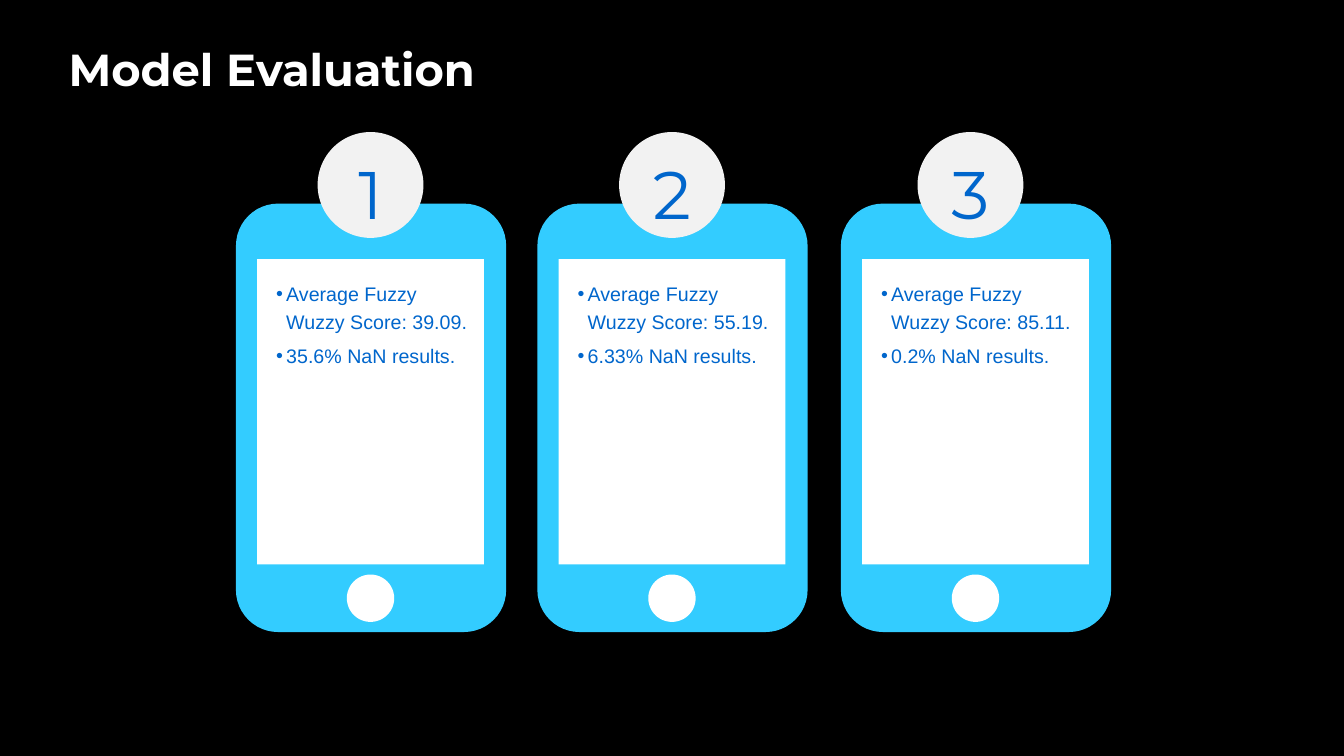
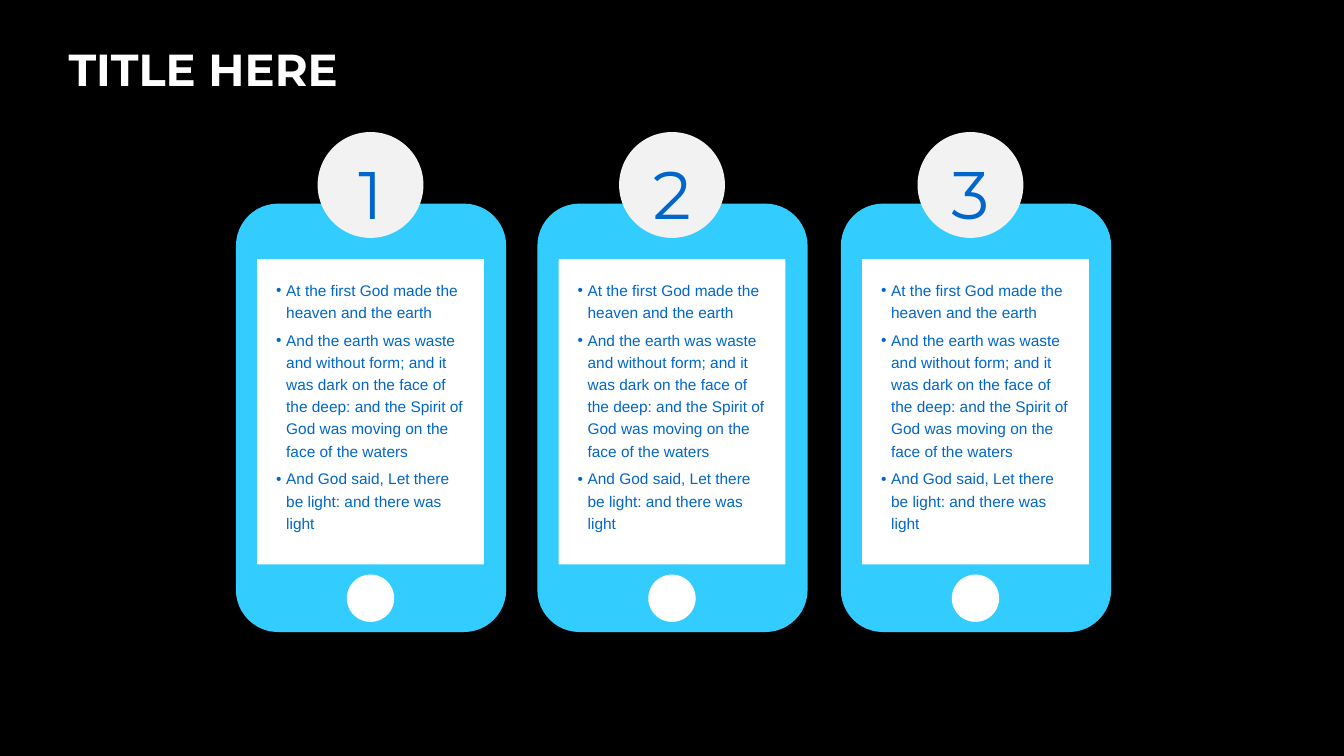
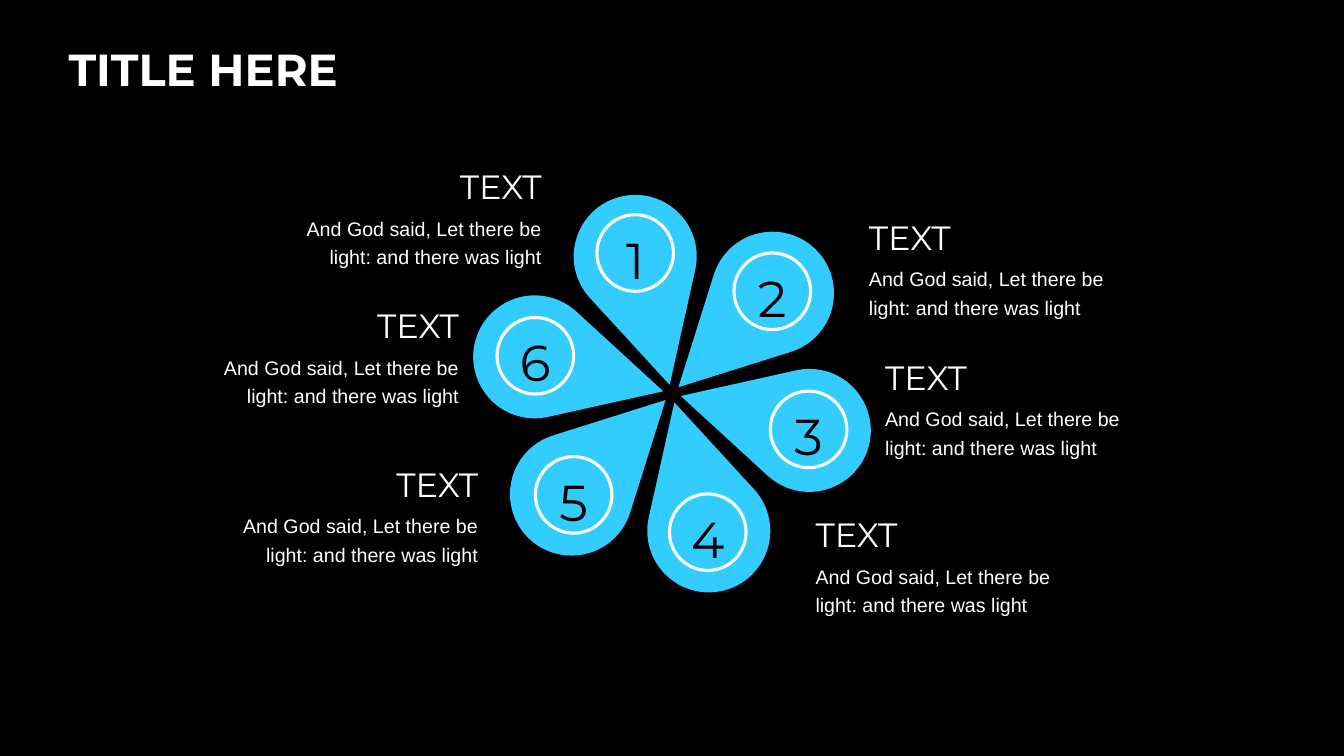
from math import acos, cos, degrees, pi, radians, sin, tan

from pptx import Presentation, util as u
from pptx.dml.color import RGBColor
from pptx.enum import shapes, text
from pptx.oxml.ns import qn

SLIDE_W, SLIDE_H = 13.33, 7.5
COLORS = {
    "back": "000000", "white": "FFFFFF", "badge": "F2F2F2",
    "cyan": "33CCFF", "blue": "0066CC",
}
HEAD_FONT, BODY_FONT = "Montserrat", "Arial"
TITLE_BOX = (0.58, 0.29, 12.18, 0.79)
LEFT, CENTER, RIGHT = text.PP_ALIGN.LEFT, text.PP_ALIGN.CENTER, text.PP_ALIGN.RIGHT
SHAPE = shapes.MSO_SHAPE

PHONE_LEFTS, PHONE_TOP, PHONE_W, PHONE_H = (2.34, 5.33, 8.34), 2.02, 2.68, 4.25
BADGE_LEFTS, BADGE_TOP, BADGE_SIZE = (3.15, 6.14, 9.1), 1.31, 1.05

HUB = (6.665, 3.905)
TIP_REACH, HEAD_REACH, HEAD_RADIUS = 0.09, 1.41, 0.61
RING_SIZE = 0.76
CAPTION_W, CAPTION_H = 2.55, 1.21

VERSES = [
    "At the first God made the heaven and the earth",
    "And the earth was waste and without form; and it was dark on the face of "
    "the deep: and the Spirit of God was moving on the face of the waters",
    "And God said, Let there be light: and there was light",
]
SCORES = [("39.09", "35.6%"), ("55.19", "6.33%"), ("85.11", "0.2%")]
PETALS = [  # ring left and top, caption left and top, caption alignment
    ((5.92, 2.13), (2.92, 1.52), RIGHT),
    ((7.28, 2.51), (8.52, 2.02), LEFT),
    ((7.64, 3.88), (8.68, 3.41), LEFT),
    ((6.64, 4.9), (7.99, 4.97), LEFT),
    ((5.31, 4.53), (2.29, 4.47), RIGHT),
    ((4.93, 3.15), (2.1, 2.9), RIGHT),
]


def color(name):
    return RGBColor.from_string(COLORS[name])


def inches(*lengths):
    return [u.Inches(length) for length in lengths]


def style_span(span, size, font, ink, bold=False):
    span.font.size, span.font.name, span.font.bold = u.Pt(size), font, bold
    span.font.color.rgb = color(ink)


def write(para, words, size, font, ink, align=LEFT, bullet=False):
    """Fill a paragraph with one run in the deck's common spacing."""
    para.alignment, para.line_spacing = align, 1.2
    para.space_before = para.space_after = u.Pt(2)
    span = para.add_run()
    span.text = words
    style_span(span, size, font, ink)
    if bullet:
        props = para._p.get_or_add_pPr()
        props.set("marL", str(u.Inches(0.1)))
        props.set("indent", str(-u.Inches(0.1)))
        props.append(props.makeelement(qn("a:buFont"), {"typeface": BODY_FONT}))
        props.append(props.makeelement(qn("a:buChar"), {"char": "•"}))


def add_text(holder, box, paras):
    """Add a wrapped text box; each paragraph is a dict of write() arguments."""
    frame = holder.add_textbox(*inches(*box)).text_frame
    frame.word_wrap = True
    frame.auto_size = text.MSO_AUTO_SIZE.SHAPE_TO_FIT_TEXT
    for index, options in enumerate(paras):
        write(frame.add_paragraph() if index else frame.paragraphs[0], **options)


def paint(shape, fill=None, line=None):
    shape.shadow.inherit = False
    if fill:
        shape.fill.solid()
        shape.fill.fore_color.rgb = color(fill)
    else:
        shape.fill.background()
    if line:
        shape.line.color.rgb, shape.line.width = color(line), u.Pt(2.25)
    else:
        shape.line.fill.background()
    return shape


def add_box(holder, kind, box, **look):
    return paint(holder.add_shape(kind, *inches(*box)), **look)


def add_number(holder, corner, size, number, points, ink, **look):
    """Add a disc with a centred number."""
    disc = add_box(holder, SHAPE.OVAL, (*corner, size, size), **look)
    disc.text_frame.vertical_anchor = text.MSO_ANCHOR.MIDDLE
    write(disc.text_frame.paragraphs[0], str(number), points, HEAD_FONT, ink, CENTER)


def add_page(deck, title):
    page = deck.slides.add_slide(deck.slide_layouts[5])
    holder = page.shapes.title
    holder.left, holder.top, holder.width, holder.height = inches(*TITLE_BOX)
    frame = holder.text_frame
    frame.text = title
    frame.vertical_anchor = text.MSO_ANCHOR.MIDDLE
    para = frame.paragraphs[0]
    para.alignment = LEFT
    style_span(para.runs[0], 32, HEAD_FONT, "white", bold=True)
    return page


def add_phone(page, left, top, lines, size, text_height):
    def part(x, y, width, height):
        return (left + x, top + y, width, height)

    phone = page.shapes.add_group_shape().shapes
    body = add_box(phone, SHAPE.ROUNDED_RECTANGLE, part(0, 0, PHONE_W, PHONE_H),
                   fill="cyan")
    body.adjustments[0] = 0.156
    add_box(phone, SHAPE.RECTANGLE, part(0.21, 0.55, 2.25, 3.03), fill="white")
    add_box(phone, SHAPE.OVAL, part(1.1, 3.68, 0.47, 0.47), fill="white")
    add_text(phone, part(0.3, 0.68, 2.11, text_height), [
        dict(words=line, size=size, font=BODY_FONT, ink="blue", bullet=True)
        for line in lines])


def add_phone_page(deck, title, columns, size, text_height):
    page = add_page(deck, title)
    for left, lines in zip(PHONE_LEFTS, columns):
        add_phone(page, left, PHONE_TOP, lines, size, text_height)
    for number, left in enumerate(BADGE_LEFTS, 1):
        add_number(page.shapes, (left, BADGE_TOP), BADGE_SIZE, number, 48, "blue",
                   fill="badge")


def polar(center, reach, angle):
    """Point at a clockwise angle in radians from straight up."""
    return center[0] + reach * sin(angle), center[1] - reach * cos(angle)


def arc_curves(center, radius, stops):
    """Control and end points of the Bézier curves between the given angles."""
    points = []
    for start, end in zip(stops, stops[1:]):
        turn = end - start
        pull = 4 / 3 * tan(turn / 4)
        reach = radius * (1 + pull ** 2) ** 0.5
        lean = acos(radius / reach)
        points += [polar(center, reach, start + lean),
                   polar(center, reach, end - lean),
                   polar(center, radius, end)]
    return points


def curve_lines(shape):
    """Turn each three line segments after the first into one curve."""
    lines = list(shape._element.iter(qn("a:lnTo")))[1:]
    for index in range(0, len(lines) - 2, 3):
        curve = lines[index].makeelement(qn("a:cubicBezTo"), {})
        lines[index].addprevious(curve)
        for line in lines[index:index + 3]:
            curve.append(line[0])
            line.getparent().remove(line)


def add_petal(page, angle):
    """Draw a drop hanging from its tip, then turn it to the given angle."""
    span = HEAD_REACH - TIP_REACH
    middle = polar(HUB, (TIP_REACH + HEAD_REACH + HEAD_RADIUS) / 2, angle)
    tip = (middle[0], middle[1] - (span + HEAD_RADIUS) / 2)
    head = (tip[0], tip[1] + span)
    start = acos(HEAD_RADIUS / span)
    stops = [start, pi / 2, pi, 3 * pi / 2, 2 * pi - start]
    points = [polar(head, HEAD_RADIUS, start), *arc_curves(head, HEAD_RADIUS, stops)]
    pen = page.shapes.build_freeform(*inches(*tip), scale=1.0)
    pen.add_line_segments([inches(*point) for point in points], close=True)
    petal = paint(pen.convert_to_shape(), fill="cyan")
    curve_lines(petal)
    petal.rotation = degrees(angle) + 180


def add_flower_page(deck, title):
    page = add_page(deck, title)
    for index in range(len(PETALS)):
        add_petal(page, radians(60 * index - 15))
    for ring, corner, align in PETALS:
        add_text(page.shapes, (*corner, CAPTION_W, CAPTION_H), [
            dict(words="TEXT", size=24, font=HEAD_FONT, ink="white", align=align),
            dict(words=VERSES[-1], size=14, font=BODY_FONT, ink="white", align=align)])
    for number, (ring, corner, align) in enumerate(PETALS, 1):
        add_number(page.shapes, ring, RING_SIZE, number, 36, "back", line="white")


def main():
    deck = Presentation()
    deck.slide_width, deck.slide_height = inches(SLIDE_W, SLIDE_H)
    backdrop = deck.slide_master.background.fill
    backdrop.solid()
    backdrop.fore_color.rgb = color("back")

    results = [(f"Average Fuzzy Wuzzy Score: {score}.", f"{missing} NaN results.")
               for score, missing in SCORES]
    add_phone_page(deck, "Model Evaluation", results, 14, 0.98)
    add_phone_page(deck, "TITLE HERE", [VERSES] * 3, 11, 2.64)
    add_flower_page(deck, "TITLE HERE")
    deck.save("out.pptx")


if __name__ == "__main__":
    main()
